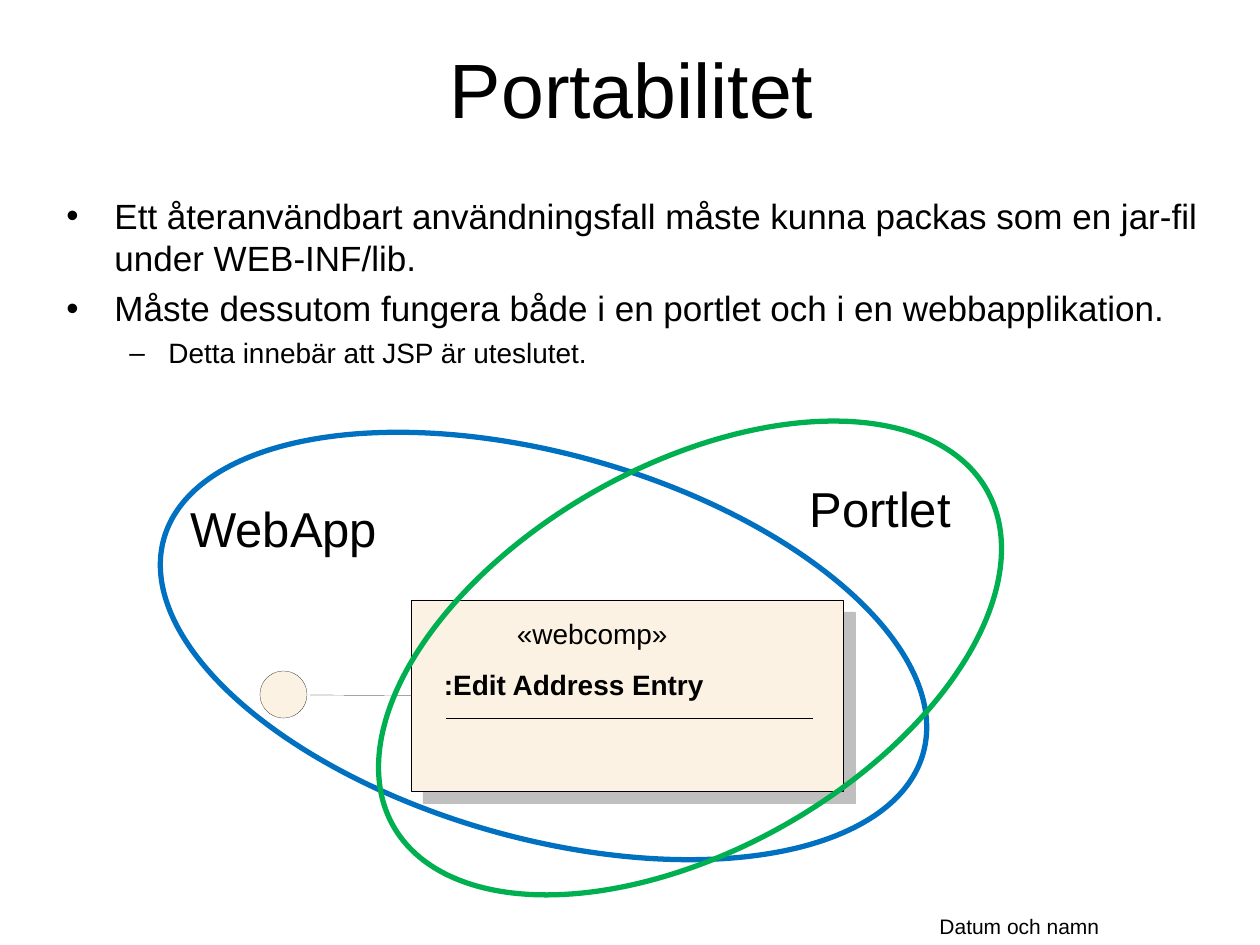
from lxml import etree
from pptx import Presentation
from pptx import util as u
from pptx.dml.color import RGBColor
from pptx.enum import shapes, text
from pptx.oxml.ns import qn

PX = 914400 / 126
HAIRLINE = 0.1
COLORS = {"ink": "000000", "cream": "FCF2E3", "shadow": "C0BFC0",
          "webapp": "0070C0", "portlet": "00B050"}
BULLETS = [("•", 48, 48, 20, 5), ("–", 102, 39, 16, 4)]
POINTS = [
    (0, "Ett återanvändbart användningsfall måste kunna packas som en jar-fil under WEB-INF/lib."),
    (0, "Måste dessutom fungera både i en portlet och i en webbapplikation."),
    (1, "Detta innebär att JSP är uteslutet."),
]


def px(n):
    """Turn pixels into EMU."""
    return u.Emu(round(n * PX))


def rgb(name):
    """Look up a named colour."""
    return RGBColor.from_string(COLORS[name])


def style_run(p, words, size, bold=False):
    """Add a formatted run to a paragraph."""
    r = p.add_run()
    r.text = words
    r.font.name, r.font.size, r.font.bold = "Arial", u.Pt(size), bold
    r.font.color.rgb = rgb("ink")


def add_frame(s, box, inset=True, wrap=True, anchor=text.MSO_ANCHOR.TOP):
    """Add an empty text box and return its frame."""
    tf = s.shapes.add_textbox(*map(px, box)).text_frame
    tf.word_wrap, tf.vertical_anchor = wrap, anchor
    if not wrap:
        tf.auto_size = text.MSO_AUTO_SIZE.SHAPE_TO_FIT_TEXT
    if not inset:
        tf.margin_left = tf.margin_right = tf.margin_top = tf.margin_bottom = 0
    return tf


def add_text(s, box, words, size=16, bold=False, align=text.PP_ALIGN.LEFT,
             spacing=None, **frame):
    """Add a one-paragraph text box."""
    p = add_frame(s, box, **frame).paragraphs[0]
    p.alignment, p.line_spacing = align, spacing
    style_run(p, words, size, bold)


def add_shape(s, kind, box, line="ink", fill=None, width=HAIRLINE, rotation=0):
    """Add a preset shape without shadow."""
    sp = s.shapes.add_shape(kind, *map(px, box))
    sp.shadow.inherit = False
    sp.rotation = rotation
    sp.line.color.rgb, sp.line.width = rgb(line), u.Pt(width)
    if fill:
        sp.fill.solid()
        sp.fill.fore_color.rgb = rgb(fill)
    else:
        sp.fill.background()
    return sp


def add_line(s, x1, y1, x2, y2):
    """Add a hairline connector."""
    line = s.shapes.add_connector(shapes.MSO_CONNECTOR.STRAIGHT, *map(px, (x1, y1, x2, y2)))
    line.line.color.rgb, line.line.width = rgb("ink"), u.Pt(HAIRLINE)
    etree.SubElement(line._element.spPr, qn("a:effectLst"))
    return line


def add_bullets(s, box):
    """Place the two-level bullet list."""
    tf = add_frame(s, box)
    for i, (level, words) in enumerate(POINTS):
        p = tf.paragraphs[0] if i == 0 else tf.add_paragraph()
        mark, margin, hang, size, before = BULLETS[level]
        p.level = level
        if i:
            p.space_before = u.Pt(before)
        pr = p._p.get_or_add_pPr()
        pr.set("marL", str(px(margin)))
        pr.set("indent", str(-px(hang)))
        etree.SubElement(pr, qn("a:buFont"), typeface="Arial")
        etree.SubElement(pr, qn("a:buChar"), char=mark)
        style_run(p, words, size)


def add_component(s, box):
    """Place the UML component with its interface."""
    x, y, w, h = box
    rect = shapes.MSO_SHAPE.RECTANGLE
    add_shape(s, rect, (x + 12, y + 12, w, h), line="shadow", fill="shadow")
    body = add_shape(s, rect, box, fill="cream")
    for dx, dy, width, words, bold in [(106, 20, 151, "«webcomp»", False),
                                       (33, 71, 261, ":Edit Address Entry", True)]:
        add_text(s, (x + dx, y + dy, width, 30), words, bold=bold, spacing=0.9,
                 inset=False, wrap=False)
    add_line(s, x + 35, y + 118, x + 402, y + 118)
    add_line(s, x, y + 95, x - 101, y + 95).begin_connect(body, 1)
    add_shape(s, shapes.MSO_SHAPE.OVAL, (x - 151, y + 71, 47, 47), fill="cream")


def add_domain(s, box, color, rotation):
    """Place a tilted outline around one runtime."""
    add_shape(s, shapes.MSO_SHAPE.OVAL, box, line=color, width=3, rotation=rotation)


def add_label(s, box, words):
    """Place the name of a runtime."""
    add_text(s, box, words, size=28, spacing=0.9, wrap=False)


def main():
    """Build and save the slide."""
    prs = Presentation()
    prs.slide_width, prs.slide_height = px(1260), px(945)
    s = prs.slides.add_slide(prs.slide_layouts[6])
    center = text.PP_ALIGN.CENTER
    add_text(s, (779, 907, 481, 38), "Datum och namn", size=12, align=center)
    add_text(s, (60, 30, 1144, 116), "Portabilitet", size=44, align=center,
             anchor=text.MSO_ANCHOR.MIDDLE)
    add_component(s, (411, 600, 432, 191))
    add_bullets(s, (54, 188, 1206, 261))
    add_domain(s, (149, 454, 789, 384), "webapp", 15.8)
    add_domain(s, (349, 466, 682, 384), "portlet", 150.5)
    add_label(s, (797, 479, 168, 66), "Portlet")
    add_label(s, (178, 499, 213, 66), "WebApp")
    prs.save("out.pptx")


if __name__ == "__main__":
    main()
